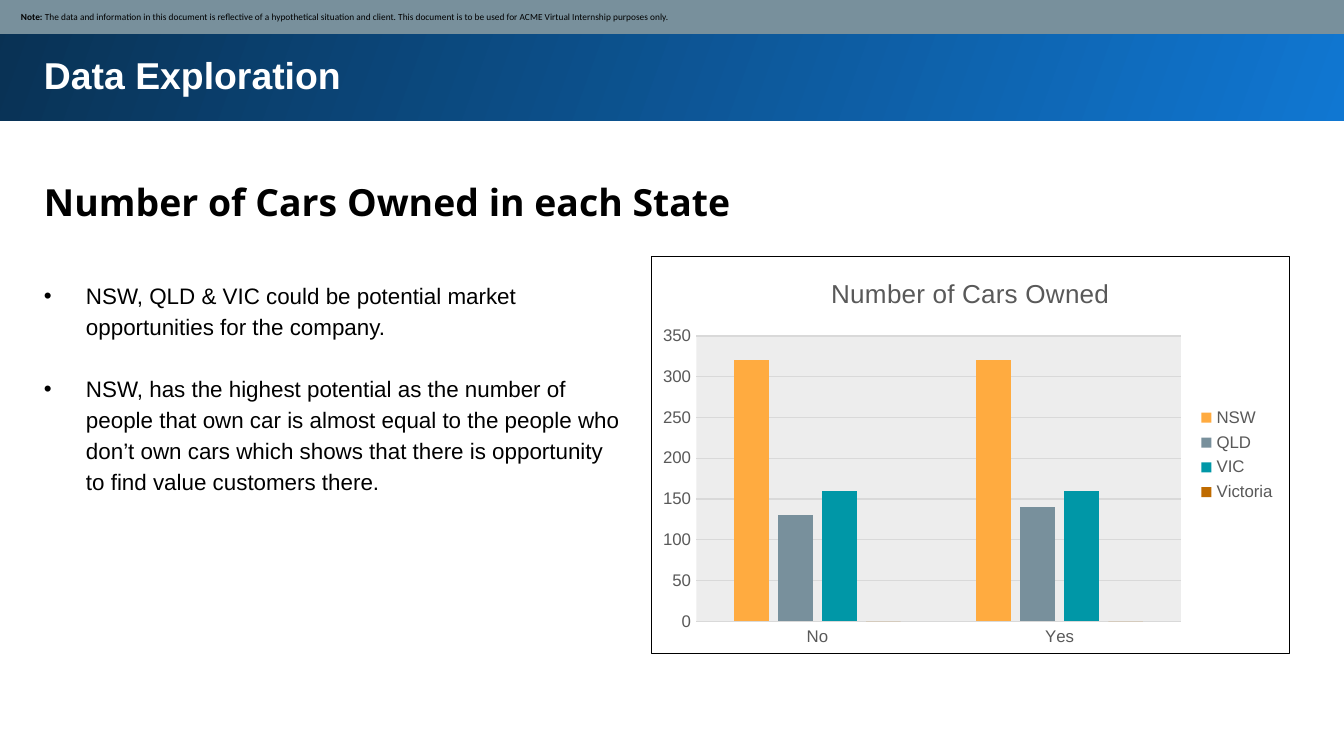
"""Build the Data Exploration slide with its chart of cars owned by state."""
from lxml.etree import SubElement
from pptx import Presentation
from pptx.chart.data import CategoryChartData
from pptx.dml.color import RGBColor
from pptx.enum.chart import XL_CHART_TYPE, XL_LEGEND_POSITION, XL_TICK_MARK
from pptx.enum.shapes import MSO_SHAPE
from pptx.enum.text import MSO_ANCHOR, PP_ALIGN
from pptx.oxml import parse_xml
from pptx.oxml.ns import nsdecls, qn
from pptx.util import Pt

PIXEL = 914400 / 134.4
BLACK = RGBColor(0x00, 0x00, 0x00)
WHITE = RGBColor(0xFF, 0xFF, 0xFF)
BRIGHT_BLUE = RGBColor(0x10, 0x77, 0xD2)
DARK_BLUE = RGBColor(0x09, 0x31, 0x53)
SLATE = RGBColor(0x78, 0x90, 0x9C)
GREY = RGBColor(0x59, 0x59, 0x59)
LIGHT_GREY = RGBColor(0xD9, 0xD9, 0xD9)
PALE_GREY = RGBColor(0xED, 0xED, 0xED)
ORANGE = RGBColor(0xFF, 0xAB, 0x40)
TEAL = RGBColor(0x00, 0x97, 0xA7)
BROWN = RGBColor(0xBF, 0x6B, 0x00)


def emu(*pixels):
    return [round(value * PIXEL) for value in pixels]


def style(font, name, size, color, bold=False):
    formats = {"name": name, "size": Pt(size), "bold": bold}
    for attribute, value in formats.items():
        setattr(font, attribute, value)
    font.color.rgb = color


deck = Presentation()
deck.slide_width, deck.slide_height = emu(1344, 756)
page = deck.slides.add_slide(deck.slide_layouts[6])

header = page.shapes.add_shape(MSO_SHAPE.RECTANGLE, *emu(-3, -3, 1350, 124))
header.fill.gradient()
header.fill.gradient_angle = 160
for stop, color, position in zip(header.fill.gradient_stops, (BRIGHT_BLUE, DARK_BLUE), (0, 1)):
    stop.color.rgb = color
    stop.position = position

notice = page.shapes.add_shape(MSO_SHAPE.RECTANGLE, *emu(-1, -1, 1348, 35))
notice.fill.solid()
notice.fill.fore_color.rgb = SLATE
for bar in (header, notice):
    bar.shadow.inherit = False
    bar.line.fill.background()
frame = notice.text_frame
margins = dict(zip(("margin_left", "margin_top", "margin_right", "margin_bottom"), emu(22, 7, 7, 7)))
for attribute, value in {**margins, "word_wrap": True, "vertical_anchor": MSO_ANCHOR.MIDDLE}.items():
    setattr(frame, attribute, value)
para = frame.paragraphs[0]
para.alignment = PP_ALIGN.LEFT
notice_spans = (
    ("Note: ", True),
    ("The data and information in this document is reflective of a hypothetical situation and client. "
     "This document is to be used for ACME Virtual Internship purposes only.", False),
)
for text, bold in notice_spans:
    span = para.add_run()
    span.text = text
    style(span.font, "Calibri", 5, BLACK, bold)

text_boxes = (
    ((31, 39, 1259, 73), "Arial", 20, WHITE, True, 1.0, False, ("Data Exploration",)),
    ((31, 159, 1259, 75), "Open Sans", 20, BLACK, True, 1.15, False,
     ("Number of Cars Owned in each State",)),
    ((31, 265, 607, 243), "Arial", 12, BLACK, False, 1.15, True, (
        "NSW, QLD & VIC could be potential market opportunities for the company.",
        "NSW, has the highest potential as the number of people that own car is almost equal to the "
        "people who don’t own cars which shows that there is opportunity to find value customers there.",
    )),
)
for place, font_name, size, color, bold, spacing, bulleted, texts in text_boxes:
    box = page.shapes.add_textbox(*emu(*place))
    frame = box.text_frame
    frame.word_wrap = True
    for side, margin in zip(margins, emu(13, 13, 13, 13)):
        setattr(frame, side, margin)
    for index, text in enumerate(texts):
        para = frame.add_paragraph() if index else frame.paragraphs[0]
        para.line_spacing = spacing
        if index:
            para.space_before = Pt(16.8)
        if bulleted:
            indent = emu(42)[0]
            properties = para._p.get_or_add_pPr()
            properties.set("marL", str(indent))
            properties.set("indent", str(-indent))
            SubElement(properties, qn("a:buFont")).set("typeface", "Arial")
            SubElement(properties, qn("a:buChar")).set("char", "•")
        span = para.add_run()
        span.text = text
        style(span.font, font_name, size, color, bold)

series_rows = (
    ("NSW", (320, 320), ORANGE),
    ("QLD", (130, 140), SLATE),
    ("VIC", (160, 160), TEAL),
    ("Victoria", (0, 0), BROWN),
)
chart_data = CategoryChartData()
chart_data.categories = ("No", "Yes")
for name, values, color in series_rows:
    chart_data.add_series(name, values)
chart = page.shapes.add_chart(
    XL_CHART_TYPE.COLUMN_CLUSTERED, *emu(651, 256, 639, 398), chart_data).chart
style(chart.font, "Arial", 10, BLACK)
chart.has_title = True
title = chart.chart_title
title.include_in_layout = False
title.text_frame.text = "Number of Cars Owned"
style(title.text_frame.paragraphs[0].runs[0].font, "Arial", 14, GREY)
chart.has_legend = True
chart.legend.position = XL_LEGEND_POSITION.RIGHT
chart.legend.include_in_layout = False
style(chart.legend.font, "Arial", 9, GREY)

plot = chart.plots[0]
for attribute, value in {"gap_width": 219, "overlap": -27, "vary_by_categories": False}.items():
    setattr(plot, attribute, value)
for series, (name, values, color) in zip(plot.series, series_rows):
    series.format.fill.solid()
    series.format.fill.fore_color.rgb = color

value_axis, category_axis = chart.value_axis, chart.category_axis
for axis in (value_axis, category_axis):
    axis.major_tick_mark = axis.minor_tick_mark = XL_TICK_MARK.NONE
    style(axis.tick_labels.font, "Arial", 9, GREY)
for attribute, value in {"minimum_scale": 0, "maximum_scale": 350, "major_unit": 50}.items():
    setattr(value_axis, attribute, value)
value_axis.format.line.fill.background()
for line in (category_axis.format.line, value_axis.major_gridlines.format.line):
    line.color.rgb = LIGHT_GREY
    line.width = Pt(0.75)

plot_area = chart._chartSpace.chart.plotArea
for layout in plot_area.findall(qn("c:layout")):
    plot_area.remove(layout)
layout = SubElement(plot_area, qn("c:layout"))
plot_area.insert(0, layout)
manual = SubElement(layout, qn("c:manualLayout"))
settings = {"layoutTarget": "inner", "xMode": "edge", "yMode": "edge",
            "x": 0.07, "y": 0.2, "w": 0.76, "h": 0.72}
for tag, value in settings.items():
    SubElement(manual, qn(f"c:{tag}")).set("val", str(value))
plot_area.append(parse_xml(
    f'<c:spPr {nsdecls("c", "a")}><a:solidFill><a:srgbClr val="{PALE_GREY}"/></a:solidFill></c:spPr>'))
chart._chartSpace.chart.addnext(parse_xml(
    f'<c:spPr {nsdecls("c", "a")}><a:noFill/><a:ln w="{Pt(0.75)}"><a:solidFill>'
    f'<a:srgbClr val="{BLACK}"/></a:solidFill></a:ln></c:spPr>'))

deck.save("out.pptx")
